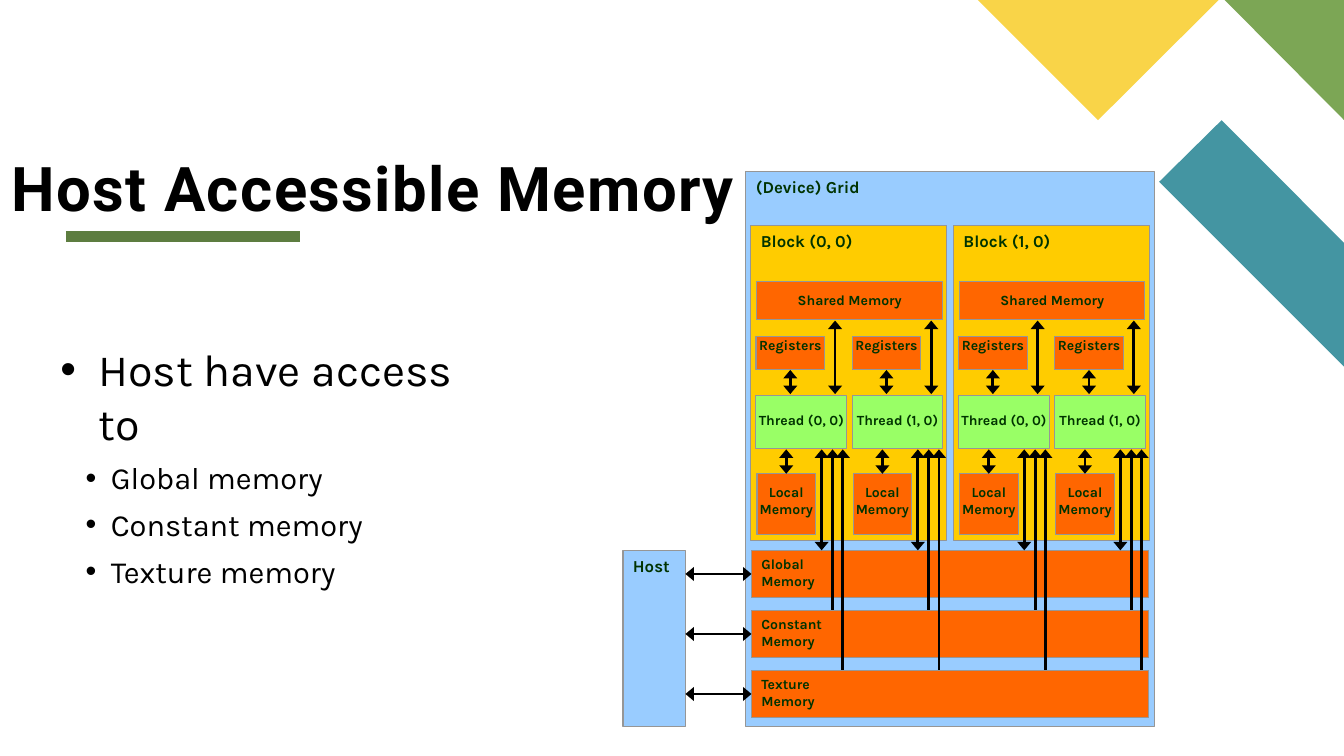
from dataclasses import dataclass

from lxml import etree
from pptx import Presentation
from pptx.dml.color import RGBColor
from pptx.enum.shapes import MSO_CONNECTOR as Connector, MSO_SHAPE as Preset
from pptx.enum.text import MSO_ANCHOR as Anchor, MSO_AUTO_SIZE as AutoSize, PP_ALIGN as Align
from pptx.oxml.ns import qn
from pptx.util import Pt

ORANGE, YELLOW, GREEN, BLUE = "FF6600", "FFCC00", "99FF66", "99CCFF"
BLACK = "000000"


@dataclass
class Box:
    text: str
    left: float
    top: float
    width: float
    height: float
    color: str
    size: float = 10
    inset: float | None = None  # top inset of a centred label


@dataclass
class Arrow:
    x1: float
    y1: float
    x2: float
    y2: float
    double: bool = True


@dataclass
class Bullet:
    text: str
    level: int
    size: float
    before: float
    margin: float
    hanging: float


def rgb(color: str) -> RGBColor:
    return RGBColor.from_string(color)


def style_font(font, name: str, size: float, color: str, bold: bool = False) -> None:
    font.name, font.size, font.bold = name, Pt(size), bold
    font.color.rgb = rgb(color)


def place(shape, left: float, top: float, width: float, height: float) -> None:
    shape.left, shape.top, shape.width, shape.height = map(Pt, (left, top, width, height))


def draw_polygon(slide, points: list[tuple[float, float]], color: str) -> None:
    corners = [(Pt(x), Pt(y)) for x, y in points]
    builder = slide.shapes.build_freeform(*corners[0])
    builder.add_line_segments(corners[1:], close=True)
    polygon = builder.convert_to_shape()
    polygon.shadow.inherit = False
    polygon.fill.solid()
    polygon.fill.fore_color.rgb = rgb(color)
    polygon.line.fill.background()


def draw_line(slide, arrow: Arrow, color: str, width: float):
    line = slide.shapes.add_connector(
        Connector.STRAIGHT, Pt(arrow.x1), Pt(arrow.y1), Pt(arrow.x2), Pt(arrow.y2))
    line.line.color.rgb = rgb(color)
    line.line.width = Pt(width)
    etree.SubElement(line._element.spPr, qn("a:effectLst"))
    return line


def draw_arrow(slide, arrow: Arrow):
    line = draw_line(slide, arrow, BLACK, 2)
    for end in ("a:headEnd", "a:tailEnd") if arrow.double else ("a:headEnd",):
        etree.SubElement(line.line._get_or_add_ln(), qn(end), type="triangle", w="lg", len="med")
    return line


def draw_box(slide, box: Box):
    shape = slide.shapes.add_shape(
        Preset.RECTANGLE, Pt(box.left), Pt(box.top), Pt(box.width), Pt(box.height))
    shape.shadow.inherit = False
    shape.fill.solid()
    shape.fill.fore_color.rgb = rgb(box.color)
    shape.line.color.rgb = rgb("969696")
    shape.line.width = Pt(0.75)
    frame = shape.text_frame
    frame.word_wrap, frame.vertical_anchor = True, Anchor.TOP
    if box.inset is not None:
        frame.margin_left = frame.margin_right = frame.margin_bottom = 0
        frame.margin_top = Pt(box.inset)
    frame.text = box.text
    for paragraph in frame.paragraphs:
        paragraph.alignment = Align.LEFT if box.inset is None else Align.CENTER
        style_font(paragraph.font, "Karla", box.size, "003300", bold=True)
    return shape


def write_bullet(paragraph, bullet: Bullet) -> None:
    paragraph.text, paragraph.level = bullet.text, bullet.level
    paragraph.space_before = Pt(bullet.before)
    style_font(paragraph.font, "Karla", bullet.size, BLACK)
    props = paragraph._p.get_or_add_pPr()
    props.set("marL", str(Pt(bullet.margin)))
    props.set("indent", str(Pt(-bullet.hanging)))
    mark = etree.Element(qn("a:buChar"), char="•")
    props.find(qn("a:defRPr")).addprevious(mark)


def draw_thread(slide, left: float, column: int) -> None:
    draw_box(slide, Box("Thread (%d, 0)" % column, left, 282.2, 64.8, 38.2, GREEN, inset=11.5))
    registers = draw_box(slide, Box("Registers", left, 240.5, 49, 23.8, ORANGE, inset=0))
    local = draw_box(
        slide, Box("Local\nMemory", left + 0.7, 338.4, 41.8, 43.2, ORANGE, inset=7.2))
    draw_arrow(slide, Arrow(left + 56.5, 281.5, left + 56.5, 229))
    draw_arrow(slide, Arrow(left + 24.5, 281.5, left + 24.5, 264.3)).end_connect(registers, 2)
    draw_arrow(slide, Arrow(left + 21.6, 338.4, left + 21.6, 321)).begin_connect(local, 0)
    # Reach into global, constant and texture memory
    for row, offset in enumerate((46.9, 54.7, 62)):
        x = left + offset
        draw_arrow(slide, Arrow(x, 321, x, MEMORY_TOP + row * MEMORY_STEP, double=row == 0))


MEMORY_TOP, MEMORY_STEP = 393.1, 42.85
BLOCK_LEFT, BLOCK_STEP, THREAD_STEP = 536.4, 144.7, 68.7
BULLETS = [Bullet("Host have access to", 0, 32, 8, 27, 27)] + [
    Bullet(f"{kind} memory", 1, 22, 7, 36, 18) for kind in ("Global", "Constant", "Texture")]


def main() -> None:
    deck = Presentation()
    deck.slide_width, deck.slide_height = Pt(960), Pt(540)
    slide = deck.slides.add_slide(deck.slide_layouts[1])

    # Corner decoration and title rule
    draw_polygon(slide, [(960, 262), (960, 173.5), (872.6, 85.9), (828, 129.9)], "4495A2")
    draw_polygon(slide, [(960, 85.7), (960, 0), (874.8, 0)], "7CA655")
    draw_polygon(slide, [(698.4, 0), (784.3, 85.9), (870.5, 0)], "F9D448")
    draw_line(slide, Arrow(47, 169.2, 214.6, 169.2), "5D7D40", 8)

    # Title
    title = slide.shapes.title
    place(title, 8, 91.4, 769.7, 117.4)
    heading = title.text_frame
    heading.text = "Host Accessible Memory"
    heading.auto_size, heading.vertical_anchor = AutoSize.NONE, Anchor.BOTTOM
    heading.margin_left = heading.margin_top = heading.margin_right = 0
    heading.margin_bottom = Pt(49.6)
    line = heading.paragraphs[0]
    line.alignment, line.line_spacing = Align.LEFT, 0.8
    style_font(line.font, "Roboto", 44, BLACK, bold=True)
    line.runs[0]._r.get_or_add_rPr().set("spc", "100")

    # Bullet list
    body = slide.placeholders[1]
    place(body, 36, 240.5, 318.2, 356.4)
    listing = body.text_frame
    listing.auto_size, listing.vertical_anchor = AutoSize.NONE, Anchor.TOP
    for number, bullet in enumerate(BULLETS):
        write_bullet(listing.add_paragraph() if number else listing.paragraphs[0], bullet)

    # Device grid, host and the memories they share
    draw_box(slide, Box("(Device) Grid", 532.8, 122.4, 291.6, 396.7, BLUE, 12))
    draw_box(slide, Box("Host", 445, 393.1, 44.6, 126, BLUE, 12))
    for row, kind in enumerate(("Global", "Constant", "Texture")):
        top = MEMORY_TOP + row * MEMORY_STEP
        memory = draw_box(slide, Box(f"{kind}\nMemory", 536.8, top, 283.7, 33.8, ORANGE))
        access = draw_arrow(slide, Arrow(489.6, top + 16.9, 536.8, top + 16.9))
        access.end_connect(memory, 1)

    # Blocks with their threads
    for block in range(2):
        left = BLOCK_LEFT + block * BLOCK_STEP
        draw_box(slide, Box(f"Block ({block}, 0)", left, 161.3, 139.7, 224.6, YELLOW, 12))
        draw_box(slide, Box("Shared Memory", left + 4.3, 200.9, 132.5, 27.4, ORANGE, inset=7.2))
        for column in range(2):
            draw_thread(slide, left + 3.6 + column * THREAD_STEP, column)

    deck.save("out.pptx")


if __name__ == "__main__":
    main()
